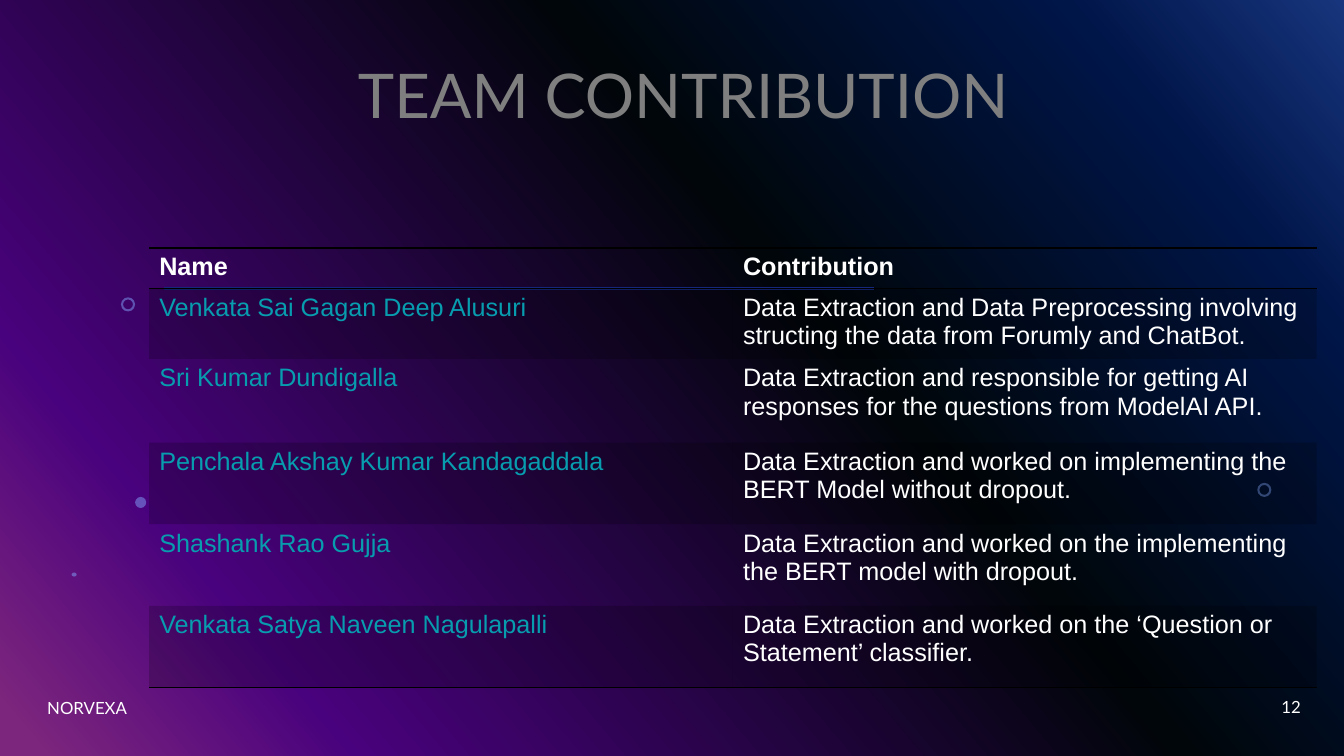
from lxml.etree import SubElement
from pptx import Presentation
from pptx.dml.color import RGBColor
from pptx.enum.shapes import MSO_CONNECTOR, MSO_SHAPE
from pptx.enum.text import MSO_ANCHOR, PP_ALIGN
from pptx.oxml import parse_xml
from pptx.oxml.ns import nsdecls, qn
from pptx.util import Inches, Pt

COLORS = {"white": "FFFFFF", "black": "000000", "teal": "079DAF",
          "dot": "83A7FD", "rule": "14277A"}
GRADIENT = [(0, "316CFC"), (14, "022D94"), (40, "020D13"), (82, "9405FC"), (98, "FC4EFB")]
NO_STYLE = "{2D5ABB26-0587-4C30-8999-92F81FD0307C}"

ROW_HEIGHTS = [0.32, 0.57, 0.83, 0.81, 0.81, 0.81]
TEAM = [
    ("Name", "Contribution"),
    ("Venkata Sai Gagan Deep Alusuri",
     "Data Extraction and Data Preprocessing involving structing the data from Forumly and ChatBot."),
    ("Sri Kumar Dundigalla",
     "Data Extraction and responsible for getting AI responses for the questions from ModelAI API."),
    ("Penchala Akshay Kumar Kandagaddala",
     "Data Extraction and worked on implementing the BERT Model without dropout."),
    ("Shashank Rao Gujja",
     "Data Extraction and worked on the implementing the BERT model with dropout."),
    ("Venkata Satya Naveen Nagulapalli",
     "Data Extraction and worked on the ‘Question or Statement’ classifier."),
]


def rgb(name):
    return RGBColor.from_string(COLORS[name])


def fill_alpha(fill, color, percent):
    fill.solid()
    fill.fore_color.rgb = rgb(color)
    clr = fill._xPr.find(qn("a:solidFill"))[0]
    SubElement(clr, qn("a:alpha")).set("val", str(percent * 1000))


def add_run(p, text, size, font, color, bold=False):
    r = p.add_run()
    r.text = text
    r.font.size, r.font.name, r.font.bold = Pt(size), font, bold
    r.font.color.rgb = rgb(color)


def add_background(s):
    fill = s.background.fill
    fill.gradient()
    fill.gradient_angle = 220
    stops = s.background._cSld.find(".//" + qn("a:gsLst"))
    for stop in list(stops):
        stops.remove(stop)
    for pos, color in GRADIENT:
        gs = SubElement(stops, qn("a:gs"), pos=str(pos * 1000))
        SubElement(gs, qn("a:srgbClr"), val=color)


def add_glass(s, kind, box, color, percent):
    sp = s.shapes.add_shape(kind, *map(Inches, box))
    sp.shadow.inherit = False
    fill_alpha(sp.fill, color, percent)
    sp.line.fill.background()
    return sp


def add_decor(s, width, height):
    add_glass(s, MSO_SHAPE.RECTANGLE, (0, 0, width, height), "black", 50)
    for x, y in [(1.2, 2.95), (12.47, 4.79)]:
        ring = add_glass(s, MSO_SHAPE.DONUT, (x, y, 0.14, 0.14), "dot", 49)
        ring.adjustments[0] = 0.15
    for box in [(1.34, 4.93, 0.11, 0.11), (0.71, 5.68, 0.05, 0.04)]:
        add_glass(s, MSO_SHAPE.OVAL, box, "dot", 49)


def add_title(s, box, text):
    sp = s.shapes.title
    sp.left, sp.top, sp.width, sp.height = map(Inches, box)
    tf = sp.text_frame
    tf.vertical_anchor = MSO_ANCHOR.MIDDLE
    p = tf.paragraphs[0]
    p.alignment, p.line_spacing = PP_ALIGN.CENTER, 0.9
    add_run(p, text, 44, "Lato", "white")


def add_footer(s, box, text, align):
    tf = s.shapes.add_textbox(*map(Inches, box)).text_frame
    tf.word_wrap = True
    tf.vertical_anchor = MSO_ANCHOR.MIDDLE
    p = tf.paragraphs[0]
    p.alignment = align
    add_run(p, text, 12, "Lato", "white")


def add_rule(s, x, y, width):
    line = s.shapes.add_connector(MSO_CONNECTOR.STRAIGHT, Inches(x), Inches(y),
                                  Inches(x + width), Inches(y))
    line.line.color.rgb = rgb("rule")
    line.line.width = Pt(2)
    SubElement(line._element.spPr, qn("a:effectLst"))


def add_borders(cell, sides):
    # Borders come before the fill in the cell properties
    tcPr = cell._tc.get_or_add_tcPr()
    for i, side in enumerate(sides):
        tcPr.insert(i, parse_xml(
            f'<a:ln{side} {nsdecls("a")} w="12700"><a:solidFill>'
            f'<a:srgbClr val="{COLORS["black"]}"/></a:solidFill></a:ln{side}>'))


def add_team_table(s, box):
    table = s.shapes.add_table(len(TEAM), 2, *map(Inches, box)).table
    table.horz_banding = False
    table._tbl.tblPr.find(qn("a:tableStyleId")).text = NO_STYLE
    last = len(TEAM) - 1
    for i, texts in enumerate(TEAM):
        table.rows[i].height = Inches(ROW_HEIGHTS[i])
        for j, text in enumerate(texts):
            cell = table.cell(i, j)
            if i % 2:
                fill_alpha(cell.fill, "black", 20)
            else:
                cell.fill.background()
            add_borders(cell, {0: "TB", last: "B"}.get(i, ""))
            color = "teal" if i and j == 0 else "white"
            add_run(cell.text_frame.paragraphs[0], text, 18, "Arial", color, i == 0)


def add_team_slide(prs):
    s = prs.slides.add_slide(prs.slide_layouts[5])
    add_background(s)
    add_decor(s, 13.33, 7.5)
    add_title(s, (1.03, 0.25, 11.5, 1.45), "TEAM CONTRIBUTION")
    add_footer(s, (0.37, 6.82, 4.5, 0.4), "NORVEXA", PP_ALIGN.LEFT)
    add_footer(s, (10, 6.81, 3, 0.4), "12", PP_ALIGN.RIGHT)
    add_rule(s, 1.63, 2.86, 7.04)
    add_team_table(s, (1.48, 2.46, 11.58, sum(ROW_HEIGHTS)))


def main():
    prs = Presentation()
    prs.slide_width, prs.slide_height = Inches(13.33), Inches(7.5)
    add_team_slide(prs)
    prs.save("out.pptx")


if __name__ == "__main__":
    main()
